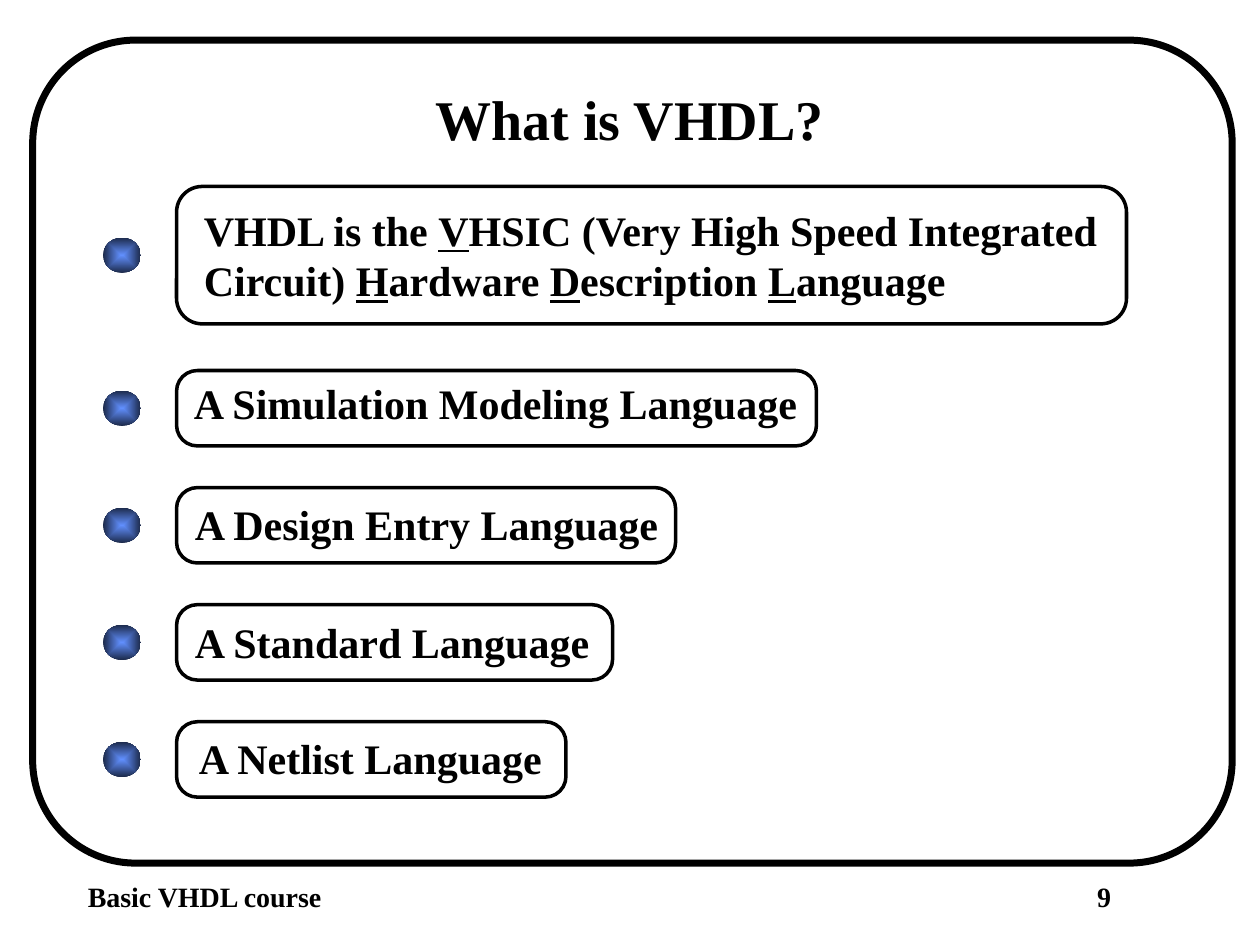
from dataclasses import dataclass

from lxml.etree import SubElement
from pptx import Presentation
from pptx.dml.color import RGBColor
from pptx.enum.shapes import MSO_SHAPE
from pptx.enum.text import MSO_ANCHOR, MSO_AUTO_SIZE, PP_ALIGN
from pptx.oxml.ns import qn
from pptx.util import Cm, Pt


@dataclass(frozen=True)
class Theme:
    ink: RGBColor = RGBColor(0x00, 0x00, 0x00)
    bullet_center: RGBColor = RGBColor(0x61, 0x8F, 0xFD)
    bullet_edge: RGBColor = RGBColor(0x1C, 0x2A, 0x4B)
    font: str = "Times New Roman"
    title: int = 32
    body: int = 24
    footer: int = 16


THEME = Theme()
FRAME_FORMAT = {
    "word_wrap": True,
    "auto_size": MSO_AUTO_SIZE.NONE,
    "vertical_anchor": MSO_ANCHOR.TOP,
    "margin_left": Cm(0.25),
    "margin_right": Cm(0),
    "margin_top": Cm(0.13),
    "margin_bottom": Cm(0.13),
}

BOX_LEFT = 3.56
BULLET_LEFT, BULLET_WIDTH, BULLET_HEIGHT = 2.08, 0.76, 0.71
DEFINITION_TOP, DEFINITION_HEIGHT = 3.76, 2.77
ROLES_TOP, ROLE_STEP, ROLE_HEIGHT = 7.47, 2.36, 1.52

# Underscores enclose underlined letters
DEFINITION = ("VHDL is the _V_HSIC (Very High Speed Integrated\n"
              "Circuit) _H_ardware _D_escription _L_anguage")

# Wording, box width, text left, text top inside the box, text width
ROLES = [
    ("A Simulation Modeling Language", 12.9, 3.66, 0.02, 12.7),
    ("A Design Entry Language", 10.06, 3.68, 0.08, 9.88),
    ("A Standard Language", 8.79, 3.68, 0.1, 8.51),
    ("A Netlist Language", 7.85, 3.76, 0.08, 7.47),
]


def apply_format(target, values):
    for name, value in values.items():
        setattr(target, name, value)


def write_text(frame, text, size):
    apply_format(frame, FRAME_FORMAT)
    for index, line in enumerate(text.split("\n")):
        paragraph = frame.paragraphs[0] if index == 0 else frame.add_paragraph()
        paragraph.alignment = PP_ALIGN.LEFT
        for position, part in enumerate(line.split("_")):
            run = paragraph.add_run()
            run.text = part
            apply_format(run.font, {"name": THEME.font, "size": Pt(size),
                                    "bold": True, "underline": position % 2 == 1})
            run.font.color.rgb = THEME.ink


def add_label(slide, text, size, left, top, width, height):
    label = slide.shapes.add_textbox(Cm(left), Cm(top), Cm(width), Cm(height))
    write_text(label.text_frame, text, size)


def add_title(slide, text):
    title = slide.shapes.title
    apply_format(title, {"left": Cm(8.53), "top": Cm(1.57),
                         "width": Cm(8.36), "height": Cm(1.6)})
    write_text(title.text_frame, text, THEME.title)


def add_outline(slide, left, top, width, height, rounding, weight):
    outline = slide.shapes.add_shape(MSO_SHAPE.ROUNDED_RECTANGLE,
                                     Cm(left), Cm(top), Cm(width), Cm(height))
    outline.adjustments[0] = rounding
    outline.shadow.inherit = False
    outline.fill.background()
    outline.line.color.rgb = THEME.ink
    outline.line.width = Pt(weight)


def add_bullet(slide, middle):
    bullet = slide.shapes.add_shape(
        MSO_SHAPE.OVAL, Cm(BULLET_LEFT), Cm(middle - BULLET_HEIGHT / 2),
        Cm(BULLET_WIDTH), Cm(BULLET_HEIGHT))
    bullet.shadow.inherit = False
    bullet.line.fill.background()
    bullet.fill.gradient()
    for stop, color in zip(bullet.fill.gradient_stops,
                           (THEME.bullet_center, THEME.bullet_edge)):
        stop.color.rgb = color
    # Rectangular gradient running out from the centre
    gradient = bullet.element.spPr.find(qn("a:gradFill"))
    gradient.remove(gradient.find(qn("a:lin")))
    shade = SubElement(gradient, qn("a:path"), {"path": "rect"})
    SubElement(shade, qn("a:fillToRect"), dict.fromkeys("ltrb", "50000"))


def add_statement(slide, text, top, height, width, rounding, text_area):
    add_label(slide, text, THEME.body, *text_area)
    add_outline(slide, BOX_LEFT, top, width, height, rounding, 2)
    add_bullet(slide, top + height / 2)


def main():
    presentation = Presentation()
    presentation.slide_width, presentation.slide_height = Cm(25.4), Cm(19.05)
    slide = presentation.slides.add_slide(presentation.slide_layouts[5])

    # Page frame and footer
    add_outline(slide, 0.66, 0.81, 24.18, 16.59, 0.125, 4)
    add_label(slide, "9", THEME.footer, 21.87, 17.6, 3.05, 0.91)
    add_label(slide, "Basic VHDL course", THEME.footer, 1.52, 17.6, 5.26, 0.91)

    add_title(slide, "What is VHDL?")

    # Definition
    add_statement(slide, DEFINITION, DEFINITION_TOP, DEFINITION_HEIGHT, 19.15,
                  0.187, (3.86, 3.99, 18.64, 2.29))

    # Roles of the language, evenly spaced
    for row, (text, width, text_left, offset, text_width) in enumerate(ROLES):
        top = ROLES_TOP + row * ROLE_STEP
        add_statement(slide, text, top, ROLE_HEIGHT, width, 0.275,
                      (text_left, top + offset, text_width, 1.27))

    presentation.save("out.pptx")


if __name__ == "__main__":
    main()
